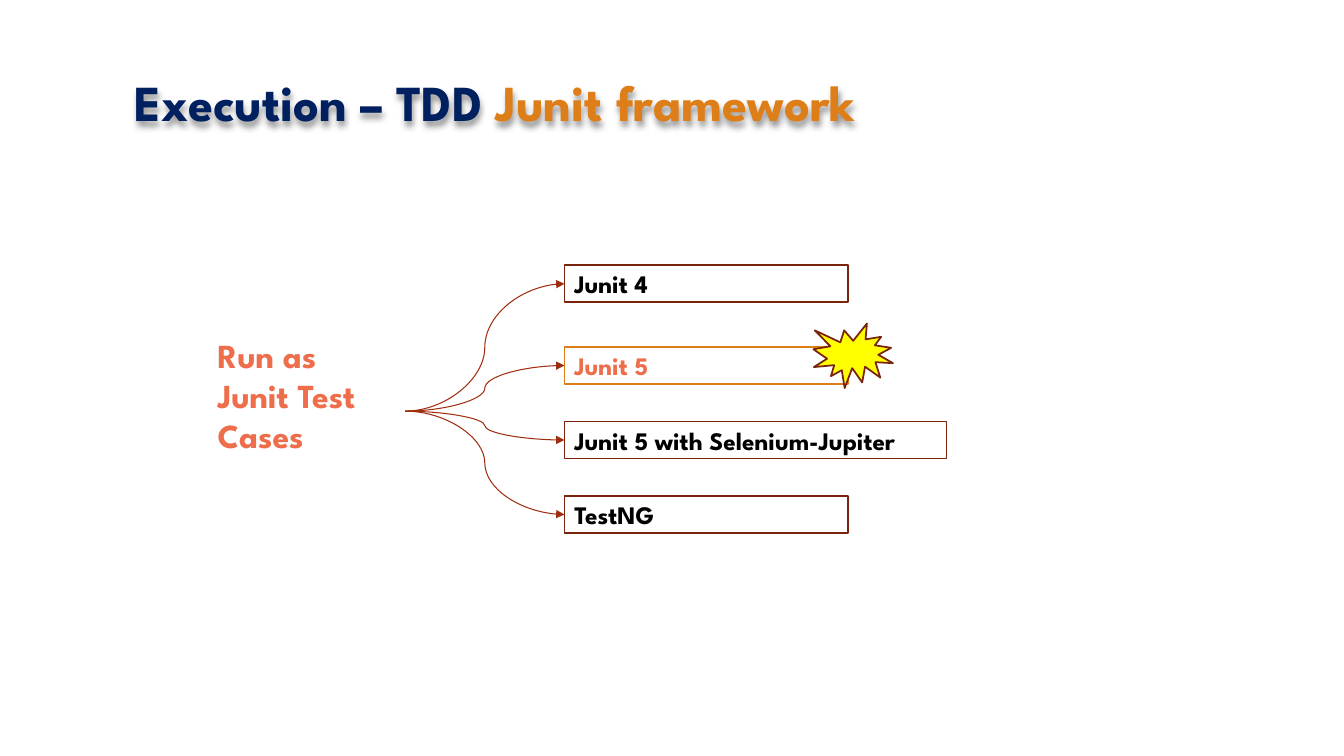
from lxml import etree
from pptx import Presentation
from pptx.dml.color import RGBColor
from pptx.enum.shapes import MSO_CONNECTOR, MSO_SHAPE
from pptx.enum.text import MSO_ANCHOR, PP_ALIGN
from pptx.oxml import parse_xml
from pptx.oxml.ns import nsdecls, qn
from pptx.util import Pt

FONT = "League Spartan"
COLORS = {
    "navy": "002060", "orange": "DE7E18", "coral": "EE6E4B", "black": "000000",
    "white": "FFFFFF", "brown": "7A240C", "rust": "9E2E0F", "yellow": "FFFF00",
}
RIGHT_SITE, LEFT_SITE = 3, 1

# Text, top, width, text colour, outline colour
FRAMEWORKS = [
    ("Junit 4", 189.4, 202.3, "black", "brown"),
    ("Junit 5", 247.8, 202.3, "coral", "orange"),
    ("Junit 5 with Selenium-Jupiter", 301, 272.9, "black", "brown"),
    ("TestNG", 354.2, 202.3, "black", "brown"),
]


def color(name):
    return RGBColor.from_string(COLORS[name])


def set_font(font, size, color_name):
    font.name = FONT
    font.size = Pt(size)
    font.bold = True
    font.color.rgb = color(color_name)


def add_text_box(slide, left, top, width, height):
    box = slide.shapes.add_textbox(Pt(left), Pt(top), Pt(width), Pt(height))
    box.text_frame.word_wrap = True
    return box


def add_title(slide, parts):
    title = add_text_box(slide, 89.3, 47.5, 700.6, 77.8)
    paragraph = title.text_frame.paragraphs[0]
    for text, color_name in parts:
        run = paragraph.add_run()
        run.text = text
        set_font(run.font, 36, color_name)
    # Soft shadow below the letters
    title._element.spPr.append(parse_xml(
        f'<a:effectLst {nsdecls("a")}>'
        '<a:outerShdw blurRad="50800" dist="38100" dir="5400000" algn="t" rotWithShape="0">'
        '<a:srgbClr val="000000"><a:alpha val="40000"/></a:srgbClr>'
        '</a:outerShdw></a:effectLst>'))


def add_label(slide, lines):
    label = add_text_box(slide, 148.3, 235.4, 141.1, 116.6)
    label.text_frame.text = "\n".join(lines)
    for paragraph in label.text_frame.paragraphs:
        set_font(paragraph.font, 24, "coral")
    return label


def add_outlined_shape(slide, kind, left, top, width, height, fill, outline):
    shape = slide.shapes.add_shape(kind, Pt(left), Pt(top), Pt(width), Pt(height))
    shape.shadow.inherit = False
    shape.fill.solid()
    shape.fill.fore_color.rgb = color(fill)
    shape.line.color.rgb = color(outline)
    shape.line.width = Pt(1.25)
    return shape


def add_framework(slide, text, top, width, text_color, outline):
    box = add_outlined_shape(slide, MSO_SHAPE.RECTANGLE, 403.2, top, width, 26.6,
                             "white", outline)
    box.text_frame.word_wrap = True
    box.text_frame.vertical_anchor = MSO_ANCHOR.MIDDLE
    paragraph = box.text_frame.paragraphs[0]
    paragraph.text = text
    paragraph.alignment = PP_ALIGN.LEFT
    set_font(paragraph.font, 18, text_color)
    return box


def add_curved_arrow(slide, source, target):
    arrow = slide.shapes.add_connector(
        MSO_CONNECTOR.CURVE,
        source.left + source.width, source.top + source.height // 2,
        target.left, target.top + target.height // 2)
    arrow.begin_connect(source, RIGHT_SITE)
    arrow.end_connect(target, LEFT_SITE)
    arrow.line.color.rgb = color("rust")
    arrow.line.width = Pt(0.75)
    etree.SubElement(arrow.line._get_or_add_ln(), qn("a:tailEnd"), type="triangle")
    etree.SubElement(arrow._element.spPr, qn("a:effectLst"))


def main():
    presentation = Presentation()
    presentation.slide_width = Pt(960)
    presentation.slide_height = Pt(540)
    slide = presentation.slides.add_slide(presentation.slide_layouts[6])

    add_title(slide, [("Execution – TDD ", "navy"), ("Junit framework", "orange")])

    # Frameworks that the test cases branch into
    boxes = [add_framework(slide, *framework) for framework in FRAMEWORKS]
    label = add_label(slide, ["Run as", "Junit Test Cases"])
    for box in boxes:
        add_curved_arrow(slide, label, box)

    # Burst that highlights Junit 5
    add_outlined_shape(slide, MSO_SHAPE.EXPLOSION1, 581, 231.1, 56.9, 46.1,
                       "yellow", "brown")

    presentation.save("out.pptx")


if __name__ == "__main__":
    main()
